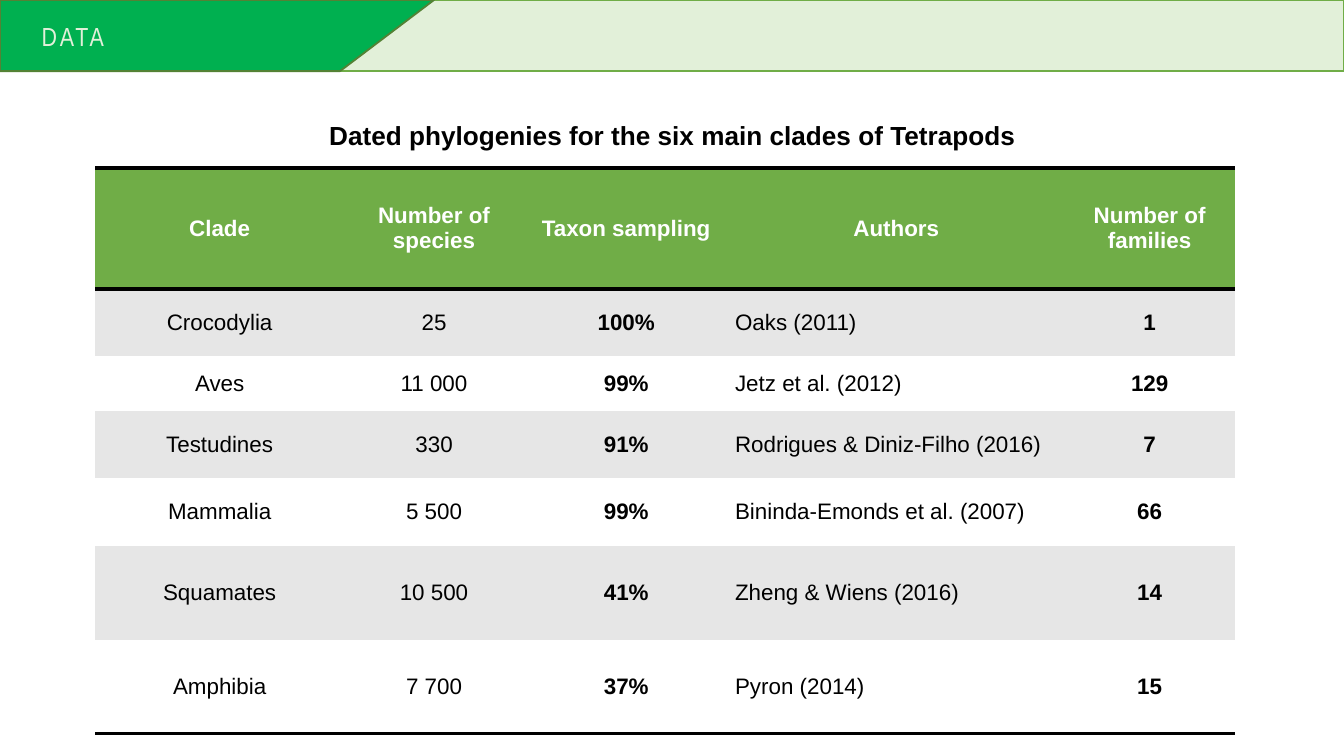
from typing import NamedTuple

from lxml.etree import SubElement
from pptx import Presentation
from pptx.dml.color import RGBColor
from pptx.enum.shapes import MSO_SHAPE
from pptx.enum.text import MSO_ANCHOR, PP_ALIGN
from pptx.oxml.ns import qn
from pptx.util import Inches, Pt

BLACK, WHITE, GREY = "000000", "FFFFFF", "E6E6E6"
HEADER_GREEN, PALE_GREEN = "70AD47", "E2F0D9"
TAB_GREEN, TAB_OUTLINE = "00B050", "548235"
PLAIN_TABLE_STYLE = "{2D5ABB26-0587-4C30-8999-92F81FD0307C}"
MARGIN = Inches(0.05)
BANNER_HEIGHT = 0.53


class Clade(NamedTuple):
    name: str
    species: str
    sampling: str
    authors: str
    families: str
    row_height: float


class Column(NamedTuple):
    heading: str
    width: float
    bold: bool = False
    alignment: PP_ALIGN = PP_ALIGN.CENTER


COLUMNS = [
    Column("Clade", 1.85),
    Column("Number of species", 1.34),
    Column("Taxon sampling", 1.52, bold=True),
    Column("Authors", 2.5, alignment=PP_ALIGN.LEFT),
    Column("Number of families", 1.27, bold=True),
]
HEADER_HEIGHT = 0.9
CLADES = [
    Clade("Crocodylia", "25", "100%", "Oaks (2011)", "1", 0.5),
    Clade("Aves", "11 000", "99%", "Jetz et al. (2012)", "129", 0.41),
    Clade("Testudines", "330", "91%", "Rodrigues & Diniz-Filho (2016)", "7", 0.5),
    Clade("Mammalia", "5 500", "99%", "Bininda-Emonds et al. (2007)", "66", 0.5),
    Clade("Squamates", "10 500", "41%", "Zheng & Wiens (2016)", "14", 0.7),
    Clade("Amphibia", "7 700", "37%", "Pyron (2014)", "15", 0.7),
]


def color(value: str) -> RGBColor:
    return RGBColor.from_string(value)


def set_margins(target) -> None:
    """Give a text frame or a table cell equal margins."""
    target.margin_left = target.margin_right = MARGIN
    target.margin_top = target.margin_bottom = MARGIN


def write(text_frame, text: str, size: float, font_color: str, bold: bool = False,
          alignment: PP_ALIGN = PP_ALIGN.LEFT, font_name: str = "Arial"):
    paragraph = text_frame.paragraphs[0]
    paragraph.text = text
    paragraph.alignment = alignment
    font = paragraph.font
    font.name, font.size, font.bold = font_name, Pt(size), bold
    font.color.rgb = color(font_color)
    return paragraph


def add_text(shapes, left: float, top: float, width: float, height: float):
    text_frame = shapes.add_textbox(
        Inches(left), Inches(top), Inches(width), Inches(height)).text_frame
    text_frame.word_wrap = True
    set_margins(text_frame)
    return text_frame


def paint(shape, fill: str, line: str) -> None:
    shape.shadow.inherit = False
    shape.fill.solid()
    shape.fill.fore_color.rgb = color(fill)
    shape.line.color.rgb = color(line)
    shape.line.width = Pt(1)


def add_border(cell, side: str) -> None:
    properties = cell._tc.get_or_add_tcPr()
    line = SubElement(properties, qn(f"a:{side}"), w=str(Pt(2)))
    fill = SubElement(line, qn("a:solidFill"))
    SubElement(fill, qn("a:srgbClr"), val=BLACK)


def fill_cell(cell, text: str, column: Column, row_index: int) -> None:
    is_header = row_index == 0
    if is_header:
        add_border(cell, "lnT")
    if row_index in (0, len(CLADES)):
        add_border(cell, "lnB")
    background = HEADER_GREEN if is_header else GREY if row_index % 2 else WHITE
    cell.fill.solid()
    cell.fill.fore_color.rgb = color(background)
    cell.vertical_anchor = MSO_ANCHOR.MIDDLE
    set_margins(cell)
    write(cell.text_frame, text, 12, WHITE if is_header else BLACK,
          is_header or column.bold,
          PP_ALIGN.CENTER if is_header else column.alignment)


def add_clade_table(shapes) -> None:
    heights = [HEADER_HEIGHT] + [clade.row_height for clade in CLADES]
    width = sum(column.width for column in COLUMNS)
    table = shapes.add_table(
        len(heights), len(COLUMNS), Inches(0.71), Inches(1.25),
        Inches(width), Inches(sum(heights))).table
    table.horz_banding = False
    table._tbl.tblPr.find(qn("a:tableStyleId")).text = PLAIN_TABLE_STYLE
    for row, height in zip(table.rows, heights):
        row.height = Inches(height)
    for column_index, column in enumerate(COLUMNS):
        table.columns[column_index].width = Inches(column.width)
        texts = [column.heading] + [clade[column_index] for clade in CLADES]
        for row_index, text in enumerate(texts):
            fill_cell(table.cell(row_index, column_index), text, column, row_index)


def add_banner(shapes) -> None:
    banner = shapes.add_group_shape().shapes
    strip = banner.add_shape(MSO_SHAPE.RECTANGLE, Inches(2.31), 0,
                             Inches(7.69), Inches(BANNER_HEIGHT))
    paint(strip, PALE_GREEN, HEADER_GREEN)

    bottom = Inches(BANNER_HEIGHT)
    builder = banner.build_freeform(0, 0)
    builder.add_line_segments(
        [(Inches(3.23), 0), (Inches(2.53), bottom), (0, bottom)], close=True)
    paint(builder.convert_to_shape(), TAB_GREEN, TAB_OUTLINE)

    label = add_text(banner, 0, 0.1, 3.23, 0.34)
    label.margin_left = Inches(0.31)
    label.vertical_anchor = MSO_ANCHOR.MIDDLE
    paragraph = write(label, "DATA", 14, PALE_GREEN, font_name="Arial Narrow")
    # Letter spacing in hundredths of a point
    paragraph.runs[0].font._element.set("spc", "150")


def main() -> None:
    presentation = Presentation()
    presentation.slide_width = Inches(10)
    presentation.slide_height = Inches(10) * 9 // 16
    slide = presentation.slides.add_slide(presentation.slide_layouts[6])

    # Title
    title = add_text(slide.shapes, 2.1, 0.84, 5.81, 0.32)
    write(title, "Dated phylogenies for the six main clades of Tetrapods",
          14, BLACK, True, PP_ALIGN.CENTER)

    # Table of clades
    add_clade_table(slide.shapes)

    # Banner with the section name
    add_banner(slide.shapes)

    presentation.save("out.pptx")


if __name__ == "__main__":
    main()
